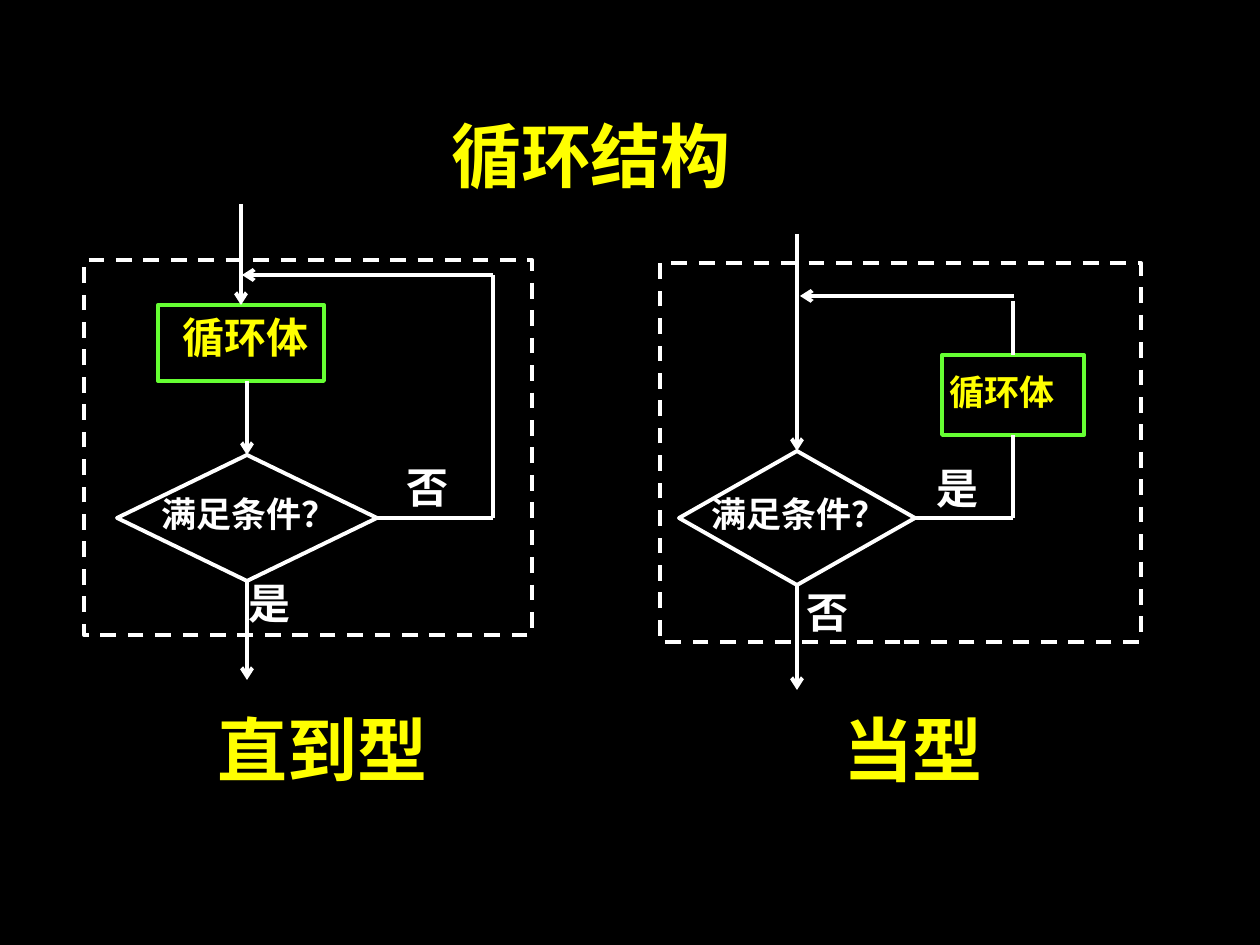
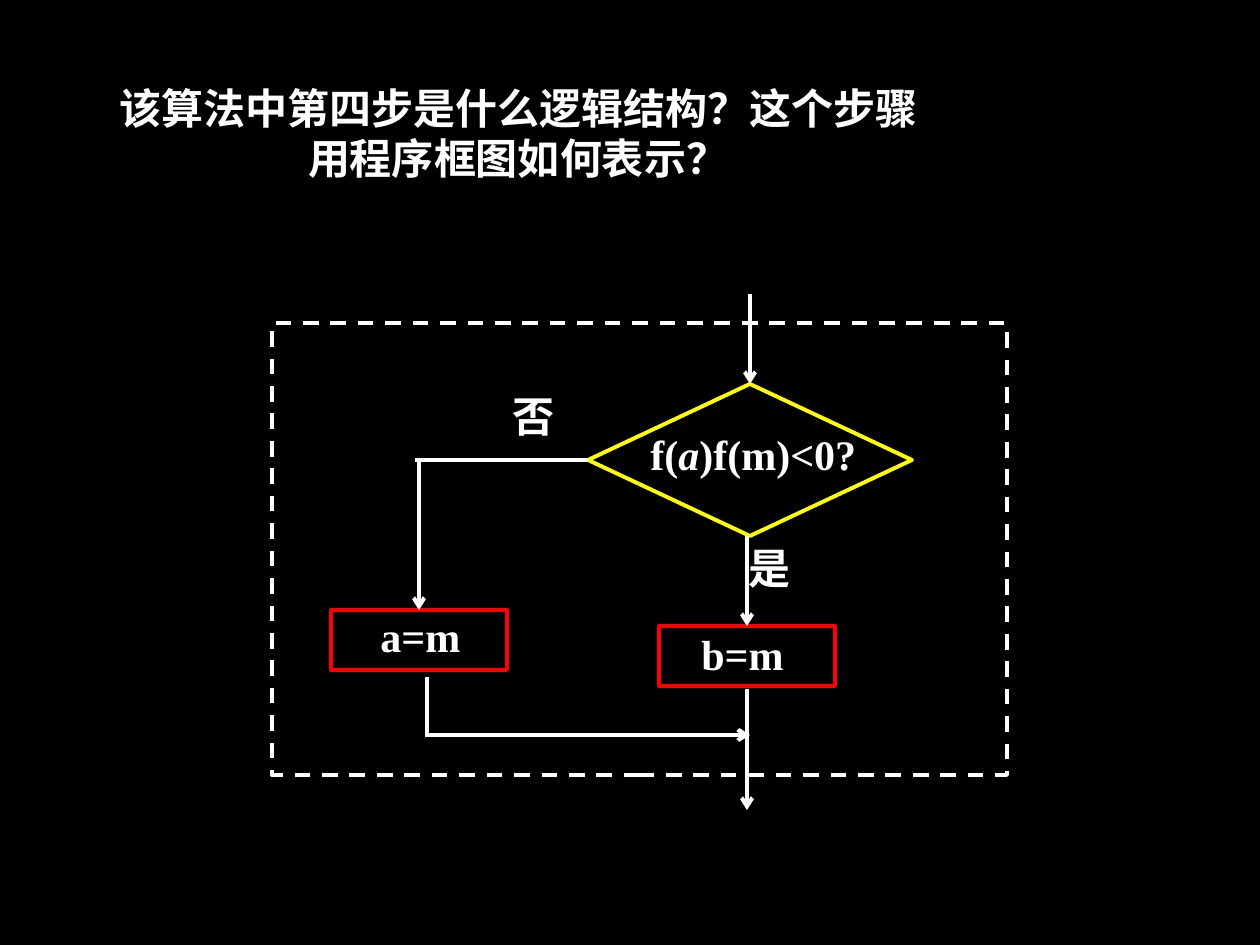
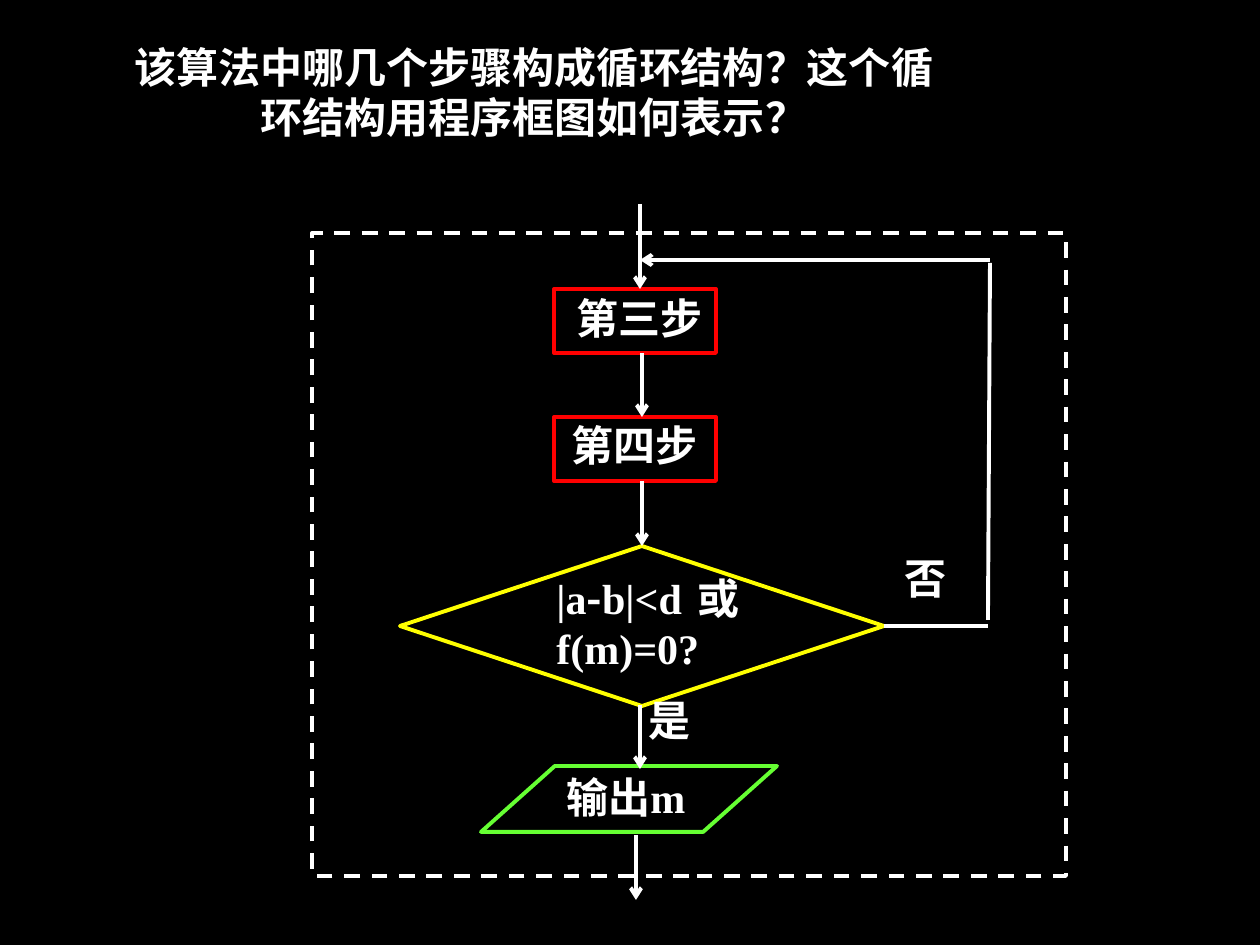
from dataclasses import dataclass
from lxml import etree
from pptx import Presentation
from pptx import util as u
from pptx.dml.color import RGBColor
from pptx.enum import dml, shapes, text
from pptx.oxml.ns import qn


@dataclass(frozen=True)
class Theme:
    back: str = "000000"
    white: str = "FFFFFF"
    yellow: str = "FFFF00"
    green: str = "66FF33"
    red: str = "FF0000"
    serif: str = "Times New Roman"
    sans: str = "Arial"
    chinese: str = "Noto Sans CJK SC"
    heading: int = 40
    body: int = 24
    small: int = 20
    stroke: float = 2.25


theme = Theme()
PX = 914400 / 126
RECT = shapes.MSO_SHAPE.RECTANGLE
DIAMOND = shapes.MSO_SHAPE.DIAMOND
PARALLELOGRAM = shapes.MSO_SHAPE.PARALLELOGRAM
HEADING = (theme.sans, theme.heading, theme.yellow, text.PP_ALIGN.CENTER)
QUESTION = (theme.chinese, theme.body, theme.white, text.PP_ALIGN.CENTER)
LABEL = (theme.serif, theme.body, theme.white, text.PP_ALIGN.JUSTIFY)
SMALL = (theme.serif, theme.small, theme.white, text.PP_ALIGN.JUSTIFY)
LOOP_BODY = (theme.serif, theme.body, theme.yellow, text.PP_ALIGN.JUSTIFY)
SMALL_BODY = (theme.serif, theme.small, theme.yellow, text.PP_ALIGN.JUSTIFY)


def px(*lengths):
    return [u.Emu(round(length * PX)) for length in lengths]


loop_structures = {
    "frames": [(84, 260, 448, 375), (660, 263, 481, 379)],
    "boxes": [
        (RECT, theme.green, (158, 305, 166, 76)),
        (DIAMOND, theme.white, (117, 455, 260, 126)),
        (RECT, theme.green, (942, 355, 142, 80)),
        (DIAMOND, theme.white, (679, 451, 236, 134)),
    ],
    "arrows": [
        (241, 204, 241, 305),
        (247, 381, 247, 455),
        (247, 581, 247, 680),
        (493, 275, 242, 275),
        (797, 234, 797, 451),
        (797, 585, 797, 690),
        (1014, 296, 800, 296),
    ],
    "lines": [
        (377, 518, 493, 518),
        (493, 275, 493, 518),
        (915, 518, 1013, 518),
        (1013, 518, 1013, 435),
        (1013, 301, 1013, 355),
    ],
    "texts": [
        ("循环结构", HEADING, (422, 106, 338, 97)),
        ("循环体", LOOP_BODY, (170, 305, 174, 76)),
        ("满足条件？", SMALL, (149, 486, 212, 76)),
        ("是", LABEL, (236, 571, 70, 76)),
        ("否", LABEL, (394, 455, 70, 76)),
        ("直到型", HEADING, (174, 700, 297, 97)),
        ("循环体", SMALL_BODY, (937, 364, 159, 81)),
        ("满足条件？", SMALL, (699, 486, 258, 81)),
        ("是", LABEL, (924, 456, 60, 81)),
        ("否", LABEL, (794, 580, 60, 81)),
        ("当型", HEADING, (799, 700, 228, 97)),
    ],
}

fourth_step = {
    "frames": [(272, 323, 735, 452)],
    "boxes": [
        (DIAMOND, theme.yellow, (588, 384, 324, 152)),
        (RECT, theme.red, (331, 610, 176, 60)),
        (RECT, theme.red, (659, 626, 176, 60)),
    ],
    "arrows": [
        (750, 294, 750, 384),
        (747, 536, 747, 626),
        (747, 689, 747, 810),
        (419, 460, 419, 610),
        (427, 735, 750, 735),
    ],
    "lines": [
        (588, 460, 415, 460),
        (427, 677, 427, 737),
    ],
    "texts": [
        ("该算法中第四步是什么逻辑结构？这个步骤用程序框图如何表示？", QUESTION, (94, 76, 848, 113)),
        ("f(|a|)f(m)<0?", LABEL, (638, 422, 234, 91)),
        ("a=m", LABEL, (368, 604, 147, 66)),
        ("b=m", LABEL, (689, 622, 117, 67)),
        ("是", LABEL, (736, 536, 88, 91)),
        ("否", LABEL, (500, 384, 88, 91)),
    ],
}
fourth_step["texts"][1] = (["f(", "a", ")f(m)<0?"], LABEL, (638, 422, 234, 91))

loop_steps = {
    "frames": [(312, 233, 754, 643)],
    "boxes": [
        (RECT, theme.red, (554, 289, 162, 64)),
        (RECT, theme.red, (554, 417, 162, 64)),
        (DIAMOND, theme.yellow, (400, 546, 484, 160)),
        (PARALLELOGRAM, theme.green, (481, 766, 296, 66)),
    ],
    "arrows": [
        (640, 204, 640, 289),
        (642, 353, 642, 417),
        (642, 481, 642, 546),
        (640, 705, 640, 769),
        (636, 835, 636, 900),
        (990, 260, 640, 260),
    ],
    "lines": [
        (884, 626, 988, 626),
        (990, 263, 988, 620),
    ],
    "texts": [
        ("该算法中哪几个步骤构成循环结构？这个循环结构用程序框图如何表示？", QUESTION, (105, 35, 858, 113)),
        ("第三步", LABEL, (564, 286, 162, 96)),
        ("第四步", LABEL, (559, 413, 162, 77)),
        (["|a", "-", "b|<d或f(m)=0?"], LABEL, (544, 566, 208, 97)),
        ("输出m", LABEL, (554, 765, 162, 97)),
        ("是", LABEL, (636, 688, 109, 97)),
        ("否", LABEL, (892, 546, 110, 96)),
    ],
}

deck = Presentation()
deck.slide_width, deck.slide_height = px(1260, 945)

for chart in (loop_structures, fourth_step, loop_steps):
    page = deck.slides.add_slide(deck.slide_layouts[6])
    page.background.fill.solid()
    page.background.fill.fore_color.rgb = RGBColor.from_string(theme.back)

    sites = {}
    frames = [(RECT, theme.white, area) for area in chart["frames"]]
    for kind, color, area in frames + chart["boxes"]:
        box = page.shapes.add_shape(kind, *px(*area))
        box.shadow.inherit = False
        box.fill.background()
        box.line.color.rgb = RGBColor.from_string(color)
        box.line.width = u.Pt(theme.stroke)
        if area in chart["frames"]:
            box.line.dash_style = dml.MSO_LINE.DASH
        elif kind == PARALLELOGRAM:
            box.adjustments[0] = 1.12
        else:
            left, top, width, height = area
            center, middle = left + width // 2, top + height // 2
            corners = [(center, top), (left, middle), (center, top + height), (left + width, middle)]
            for side, point in enumerate(corners):
                sites[point] = (box, side)

    for ends in chart["arrows"] + chart["lines"]:
        link = page.shapes.add_connector(shapes.MSO_CONNECTOR.STRAIGHT, *px(*ends))
        link.line.color.rgb = RGBColor.from_string(theme.white)
        link.line.width = u.Pt(theme.stroke)
        if ends in chart["arrows"]:
            etree.SubElement(link.line._get_or_add_ln(), qn("a:tailEnd"), type="arrow")
        etree.SubElement(link._element.spPr, qn("a:effectLst"))
        if ends[:2] in sites:
            link.begin_connect(*sites[ends[:2]])
        if ends[2:] in sites:
            link.end_connect(*sites[ends[2:]])

    for words, (face, size, color, align), area in chart["texts"]:
        frame = page.shapes.add_textbox(*px(*area)).text_frame
        frame.word_wrap = True
        para = frame.paragraphs[0]
        para.alignment = align
        para.font.size = u.Pt(size)
        para.font.bold = True
        para.font.color.rgb = RGBColor.from_string(color)
        para.font.name = face
        etree.SubElement(para._p.pPr.find(qn("a:defRPr")), qn("a:ea"), typeface=theme.chinese)
        for part in [words] if isinstance(words, str) else words:
            span = para.add_run()
            span.text = part
            if part == "a":
                span.font.italic = True
            elif part == "-":
                span.font.name = theme.chinese

deck.save("out.pptx")
